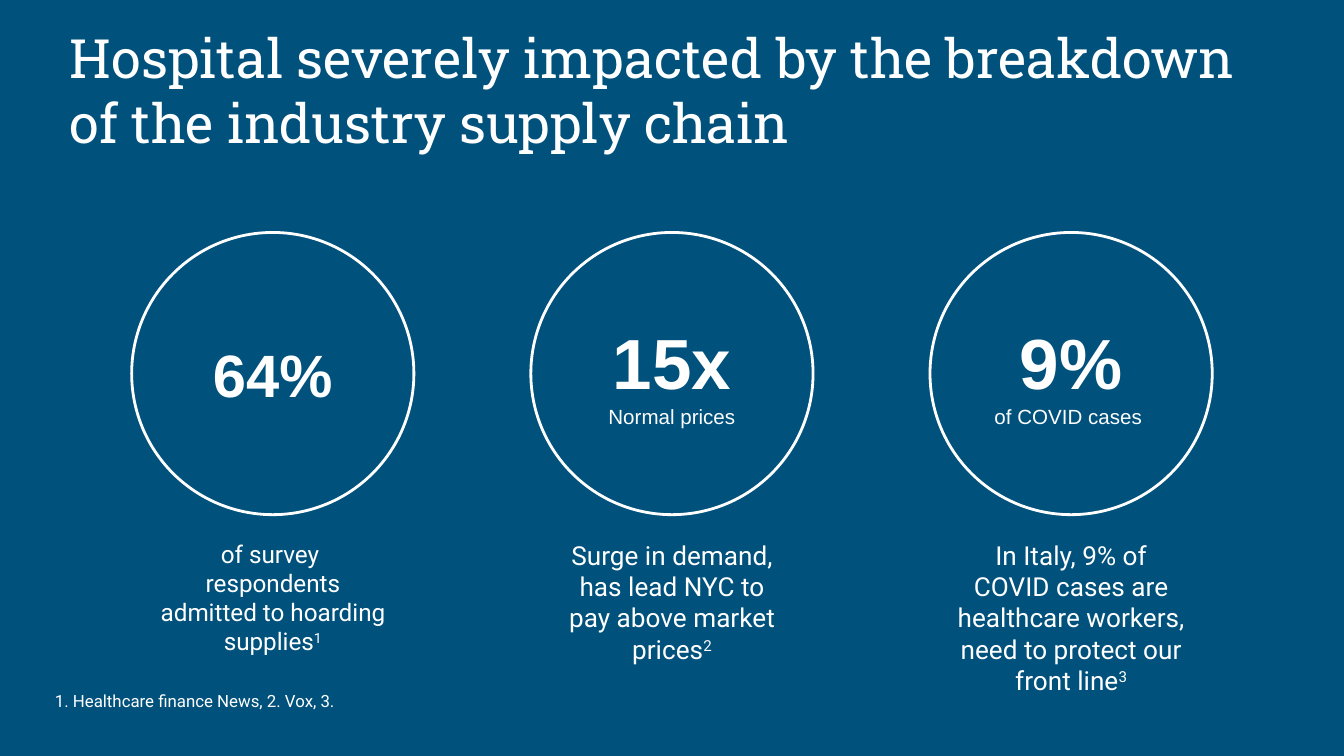
import pptx
import pptx.util
import pptx.dml.color
import pptx.enum.shapes
import pptx.enum.text

Inches = pptx.util.Inches
Align = pptx.enum.text.PP_ALIGN
Anchor = pptx.enum.text.MSO_ANCHOR


def color(value):
    return pptx.dml.color.RGBColor.from_string(value)


class SlideBuilder:
    background = "00517C"
    ink = "FFFFFF"
    body_font = "Roboto"
    title_font = "Roboto Slab"
    figure_font = "Arial"
    inset = Inches(0.1)

    def __init__(self, deck):
        self.page = deck.slides.add_slide(deck.slide_layouts[5])
        fill = self.page.background.fill
        fill.solid()
        fill.fore_color.rgb = color(self.background)

    def prepare(self, box, anchor):
        frame = box.text_frame
        frame.word_wrap = True
        frame.auto_size = pptx.enum.text.MSO_AUTO_SIZE.NONE
        frame.vertical_anchor = anchor
        frame.margin_left = frame.margin_right = self.inset
        frame.margin_top = frame.margin_bottom = self.inset
        return frame

    def format(self, para, size, font, align, bold=False):
        para.alignment = align
        for span in para.runs:
            span.font.size = pptx.util.Pt(size)
            span.font.name = font
            span.font.bold = bold
            span.font.color.rgb = color(self.ink)

    def title(self, text, left, top, width, height):
        box = self.page.shapes.title
        box.left, box.top = Inches(left), Inches(top)
        box.width, box.height = Inches(width), Inches(height)
        frame = self.prepare(box, Anchor.BOTTOM)
        frame.text = text
        para = frame.paragraphs[0]
        para.line_spacing = 1.0
        self.format(para, 29, self.title_font, Align.LEFT)

    def text(self, text, left, top, width, height, size, align=Align.LEFT, mark=None):
        box = self.page.shapes.add_textbox(
            Inches(left), Inches(top), Inches(width), Inches(height))
        frame = self.prepare(box, Anchor.TOP)
        frame.text = text
        if mark:
            span = frame.paragraphs[-1].add_run()
            span.text = mark
            span.font._element.set("baseline", "30000")
        for para in frame.paragraphs:
            self.format(para, size, self.body_font, align)

    def circle(self, figure, label, left, top, diameter, size):
        shape = self.page.shapes.add_shape(
            pptx.enum.shapes.MSO_SHAPE.OVAL,
            Inches(left), Inches(top), Inches(diameter), Inches(diameter))
        shape.shadow.inherit = False
        shape.fill.background()
        shape.line.color.rgb = color(self.ink)
        shape.line.width = pptx.util.Pt(1.5)
        frame = self.prepare(shape, Anchor.MIDDLE)
        frame.text = figure
        self.format(frame.paragraphs[0], size, self.figure_font, Align.CENTER, bold=True)
        if label:
            para = frame.add_paragraph()
            para.text = label
            self.format(para, 11, self.figure_font, Align.CENTER)


def main():
    deck = pptx.Presentation()
    deck.slide_width = Inches(10)
    deck.slide_height = deck.slide_width * 9 // 16
    builder = SlideBuilder(deck)
    builder.title("Hospital severely impacted by the breakdown of the industry supply chain",
                  0.42, 0.5, 9.15, 0.75)

    findings = [
        ("64%", None, 32, "of survey \nrespondents admitted to hoarding supplies", 13),
        ("15x", "Normal prices", 38,
         "Surge in demand, has lead NYC to pay above market prices", 14),
        ("9%", "of COVID cases ", 38,
         "In Italy, 9% of COVID cases are healthcare workers, "
         "need to protect our front line", 14),
    ]
    diameter, caption_width, pitch = 2.1, 1.92, 2.97
    for index, (figure, label, figure_size, caption, caption_size) in enumerate(findings):
        center = 5 + (index - 1) * pitch
        builder.circle(figure, label, center - diameter / 2, 1.73, diameter, figure_size)
        builder.text(caption, center - caption_width / 2, 3.91, caption_width, 0.65,
                     caption_size, Align.CENTER, mark=str(index + 1))

    builder.text("1. Healthcare finance News, 2. Vox, 3.", 0.31, 5.04, 8.43, 0.4, 9)
    deck.save("out.pptx")


if __name__ == "__main__":
    main()
